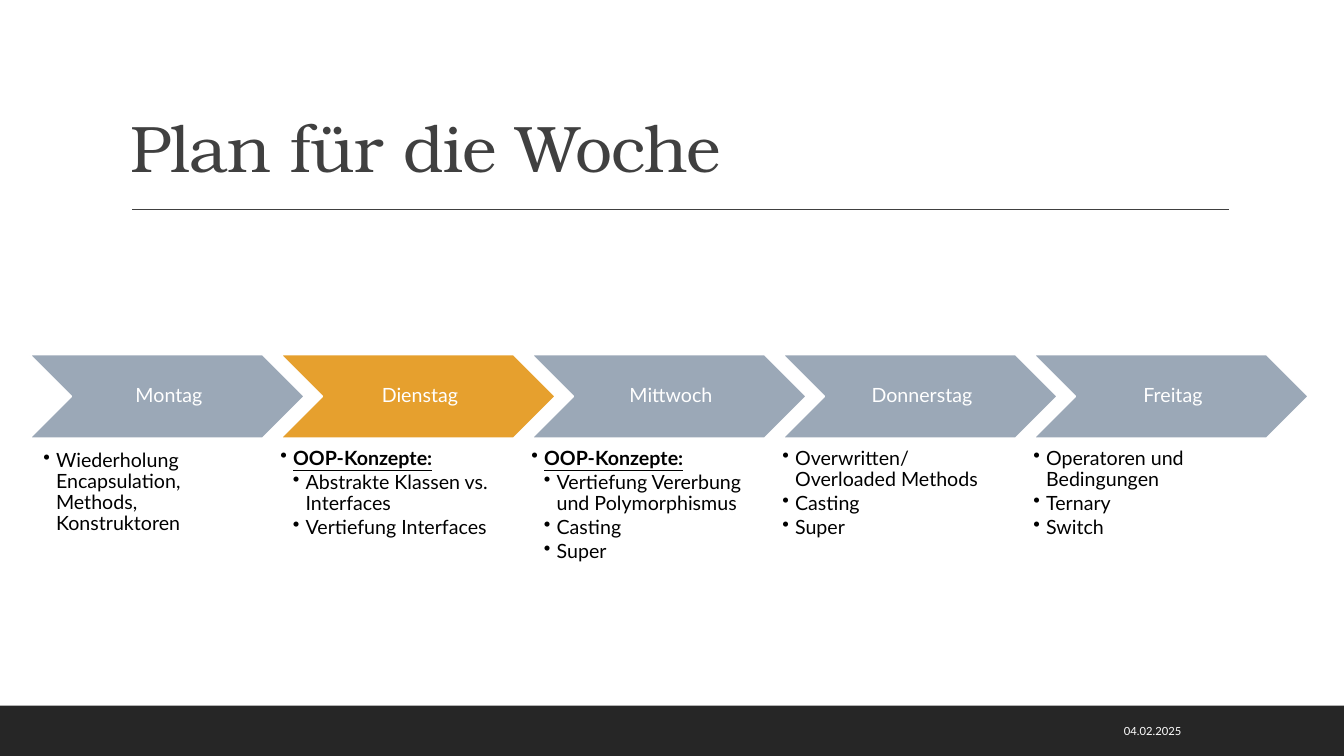
from lxml import etree
from pptx import Presentation
from pptx.dml.color import RGBColor
from pptx.enum import shapes, text
from pptx.oxml.ns import qn
from pptx.util import Pt

WHITE = RGBColor(0xFF, 0xFF, 0xFF)
BLACK = RGBColor(0, 0, 0)
INK = RGBColor(0x40, 0x40, 0x40)
FOOTER = RGBColor(0x26, 0x26, 0x26)
SLATE = RGBColor(0x9B, 0xA8, 0xB7)
AMBER = RGBColor(0xE6, 0xA0, 0x2E)
HEADING_FONT = "TeX Gyre Bonum"
BODY_FONT = "Lato"
SLIDE_WIDTH, SLIDE_HEIGHT = 960, 540

TODAY = "Dienstag"
OOP_HEADING = (0, "OOP-Konzepte:", True)
WEEK = [
    ("Montag", [(0, "Wiederholung Encapsulation, \vMethods,\vKonstruktoren", False)]),
    ("Dienstag", [OOP_HEADING,
                  (1, "Abstrakte Klassen vs. Interfaces", False),
                  (1, "Vertiefung Interfaces", False)]),
    ("Mittwoch", [OOP_HEADING,
                  (1, "Vertiefung Vererbung und Polymorphismus", False),
                  (1, "Casting", False),
                  (1, "Super", False)]),
    ("Donnerstag", [(0, "Overwritten/Overloaded Methods", False),
                    (0, "Casting", False),
                    (0, "Super", False)]),
    ("Freitag", [(0, "Operatoren und Bedingungen", False),
                 (0, "Ternary", False),
                 (0, "Switch", False)]),
]


def set_frame(frame, anchor, insets):
    frame.word_wrap = True
    frame.vertical_anchor = anchor
    frame.margin_left, frame.margin_top, frame.margin_right, frame.margin_bottom = map(Pt, insets)


def add_frame(slide, box, anchor, insets=(7.2, 3.6, 7.2, 3.6)):
    frame = slide.shapes.add_textbox(*map(Pt, box)).text_frame
    set_frame(frame, anchor, insets)
    return frame


def add_run(paragraph, words, size, color, font=BODY_FONT):
    run = paragraph.add_run()
    run.text = words
    run.font.size = Pt(size)
    run.font.name = font
    run.font.color.rgb = color
    return run


def add_words(paragraph, words, size, color):
    runs = []
    for index, line in enumerate(words.split("\v")):
        if index:
            paragraph.add_line_break()
        runs.append(add_run(paragraph, line, size, color))
    return runs


def add_bullet(paragraph, level):
    properties = paragraph._p.get_or_add_pPr()
    properties.set("marL", str(Pt(9 * (level + 1))))
    properties.set("indent", str(Pt(-9)))
    etree.SubElement(properties, qn("a:buChar")).set("char", "•")


def add_title(slide, box):
    left, top, width, height = box
    frame = add_frame(slide, box, text.MSO_ANCHOR.BOTTOM)
    frame.paragraphs[0].line_spacing = 0.9
    title = add_run(frame.paragraphs[0], "Plan für die Woche", 47, INK, HEADING_FONT)
    title._r.get_or_add_rPr().set("spc", "-50")
    rule_y = Pt(top + height + 13)
    rule = slide.shapes.add_connector(
        shapes.MSO_CONNECTOR.STRAIGHT, Pt(left + 8), rule_y, Pt(left + width - 0.5), rule_y)
    rule.line.color.rgb = INK
    rule.line.width = Pt(1)
    etree.SubElement(rule._element.spPr, qn("a:effectLst"))


def add_footer(slide, box):
    left, top, width, height = box
    band = slide.shapes.add_shape(shapes.MSO_SHAPE.RECTANGLE, *map(Pt, box))
    band.shadow.inherit = False
    band.fill.solid()
    band.fill.fore_color.rgb = FOOTER
    band.line.fill.background()
    date = add_frame(slide, (left + 647.5, top + 3.6, 203.5, 28.8), text.MSO_ANCHOR.MIDDLE).paragraphs[0]
    date.alignment = text.PP_ALIGN.RIGHT
    add_run(date, "04.02.2025", 8, WHITE)


def add_day(slide, box, day, topics, topics_shift):
    left, top, width, height = box
    arrow = slide.shapes.add_shape(shapes.MSO_SHAPE.CHEVRON, *map(Pt, box))
    arrow.shadow.inherit = False
    arrow.fill.solid()
    arrow.fill.fore_color.rgb = AMBER if day == TODAY else SLATE
    arrow.line.color.rgb = WHITE
    arrow.line.width = Pt(1.25)
    set_frame(arrow.text_frame, text.MSO_ANCHOR.MIDDLE, (4.3, 1.4, 1.4, 1.4))
    label = arrow.text_frame.paragraphs[0]
    label.alignment = text.PP_ALIGN.CENTER
    label.line_spacing = 0.9
    add_run(label, day, 14, WHITE)

    shift_x, shift_y = topics_shift
    topics_box = (left + shift_x, top + height + 7.2 + shift_y, 157, 79)
    frame = add_frame(slide, topics_box, text.MSO_ANCHOR.TOP, (0, 0, 0, 0))
    for index, (level, words, is_heading) in enumerate(topics):
        paragraph = frame.add_paragraph() if index else frame.paragraphs[0]
        paragraph.level = level + 1
        paragraph.line_spacing = 0.9
        paragraph.space_after = Pt(2.1)
        add_bullet(paragraph, level)
        for run in add_words(paragraph, words, 14, BLACK):
            run.font.bold = is_heading
            run.font.underline = is_heading


def add_week(slide, box):
    left, top, width, height = box
    arrow_width = 196.5
    pitch = (width - arrow_width) / (len(WEEK) - 1)
    for index, (day, topics) in enumerate(WEEK):
        topics_shift = (0, 0) if index else (10, 1.4)
        add_day(slide, (left + index * pitch, top, arrow_width, height), day, topics, topics_shift)


def main():
    deck = Presentation()
    deck.slide_width, deck.slide_height = Pt(SLIDE_WIDTH), Pt(SLIDE_HEIGHT)
    slide = deck.slides.add_slide(deck.slide_layouts[6])
    add_footer(slide, (0, 504, SLIDE_WIDTH, 36))
    add_title(slide, (86.4, 22.3, 792, 114.5))
    add_week(slide, (21, 253.2, 913.7, 59.8))
    deck.save("out.pptx")


if __name__ == "__main__":
    main()
